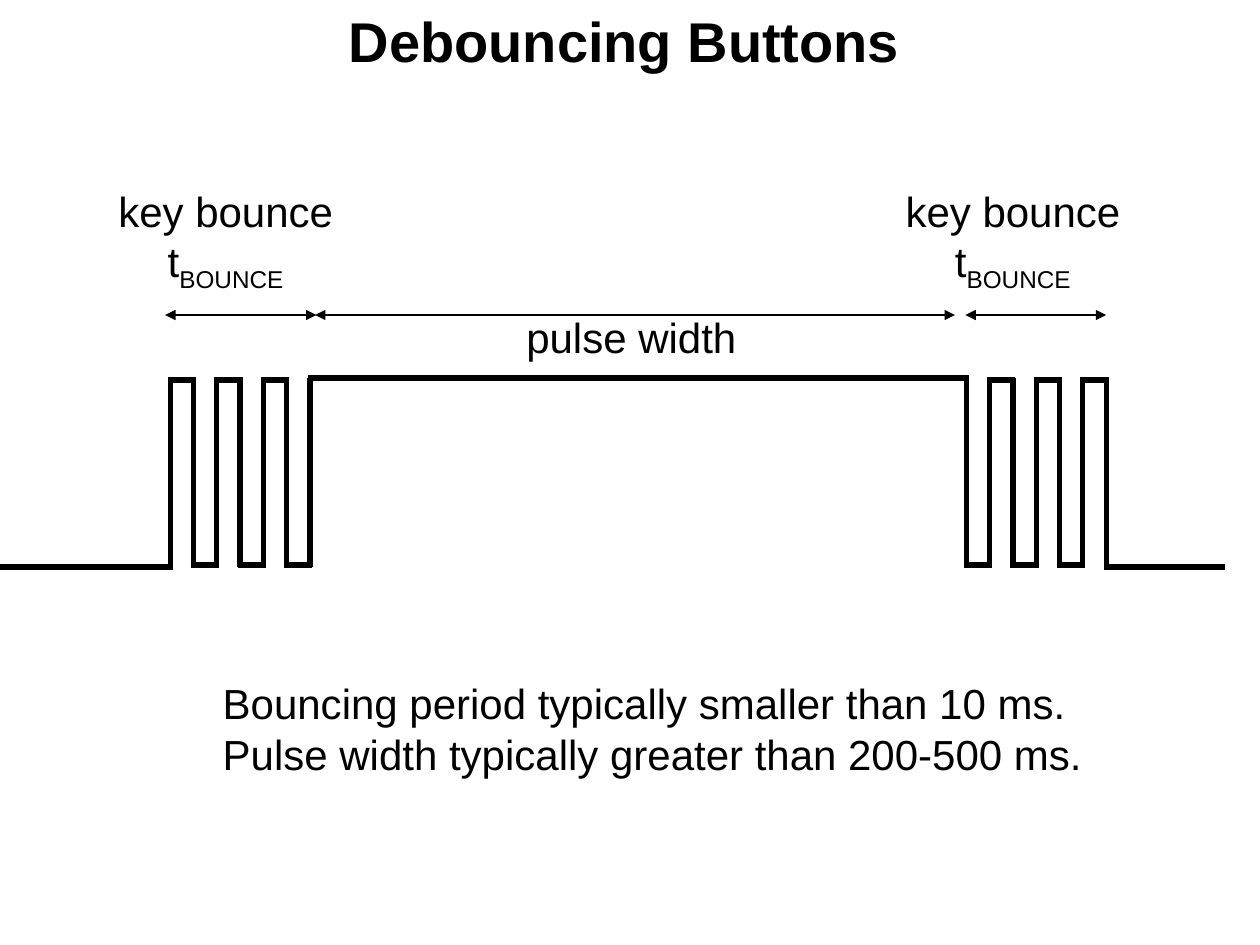
from pptx import Presentation
from pptx import util as u
from pptx.dml.color import RGBColor
from pptx.enum import shapes, text
from pptx.oxml.ns import qn
from lxml import etree

BLACK = RGBColor(0, 0, 0)
HIGH, LOW = 7.62, 11.43
STEP, EDGES = 0.47, 7
RISE, FALL = 3.43, 19.48
LAP, INSET = 0.05, 0.04


class Pen:
    font = "Arial"
    ink = BLACK

    def __init__(self, slide):
        self.slide = slide

    def label(self, left, top, width, height, words, size=24, bold=False,
              align=text.PP_ALIGN.LEFT, sub=""):
        box = self.slide.shapes.add_textbox(
            u.Cm(left), u.Cm(top), u.Cm(width), u.Cm(height))
        frame = box.text_frame
        frame.text = words
        frame.word_wrap = False
        frame.auto_size = text.MSO_AUTO_SIZE.SHAPE_TO_FIT_TEXT
        if sub:
            run = frame.paragraphs[-1].add_run()
            run.text = sub
            run._r.get_or_add_rPr().set("baseline", "-25000")
        for para in frame.paragraphs:
            para.alignment = align
            for run in para.runs:
                run.font.name = self.font
                run.font.size = u.Pt(size)
                run.font.bold = bold
                run.font.color.rgb = self.ink

    def line(self, x1, y1, x2, y2, width=3):
        link = self.slide.shapes.add_connector(
            shapes.MSO_CONNECTOR.STRAIGHT,
            u.Cm(x1), u.Cm(y1), u.Cm(x2), u.Cm(y2))
        link.line.color.rgb = self.ink
        link.line.width = u.Pt(width)
        etree.SubElement(link._element.spPr, qn("a:effectLst"))
        return link

    def span(self, left, right, y):
        link = self.line(left, y, right, y, 0.75)
        stroke = link.line._get_or_add_ln()
        for end in ("a:headEnd", "a:tailEnd"):
            etree.SubElement(stroke, qn(end), type="triangle")

    def bounce(self, left, high):
        for i in range(EDGES):
            x = left + i * STEP
            self.line(x, HIGH, x, LOW)
            if i < EDGES - 1:
                y = HIGH + INSET if high else LOW - INSET
                self.line(x - LAP, y, x + STEP + LAP, y)
            high = not high


def main():
    deck = Presentation()
    deck.slide_width, deck.slide_height = u.Cm(25.4), u.Cm(19.05)
    pen = Pen(deck.slides.add_slide(deck.slide_layouts[6]))

    pen.label(6.78, 0, 11.71, 1.63, "Debouncing Buttons", 32, True)
    pen.label(4.24, 13.54, 18.01, 2.31,
              "Bouncing period typically smaller than 10 ms.\n"
              "Pulse width typically greater than 200-500 ms.")

    width = (EDGES - 1) * STEP
    pen.line(0, LOW, RISE + LAP, LOW)
    pen.bounce(RISE, True)
    pen.line(RISE + width - LAP, HIGH, FALL + LAP, HIGH)
    pen.bounce(FALL, False)
    pen.line(FALL + width - LAP, LOW, 24.69, LOW)

    for left in (2.11, 17.98):
        pen.label(left, 3.61, 4.88, 2.31, "key bounce\nt",
                  align=text.PP_ALIGN.CENTER, sub="BOUNCE")
    for left, right in ((3.33, 6.38), (6.35, 19.25), (19.46, 22.3)):
        pen.span(left, right, 6.35)
    pen.label(10.36, 6.15, 4.8, 1.3, "pulse width")

    deck.save("out.pptx")


if __name__ == "__main__":
    main()
